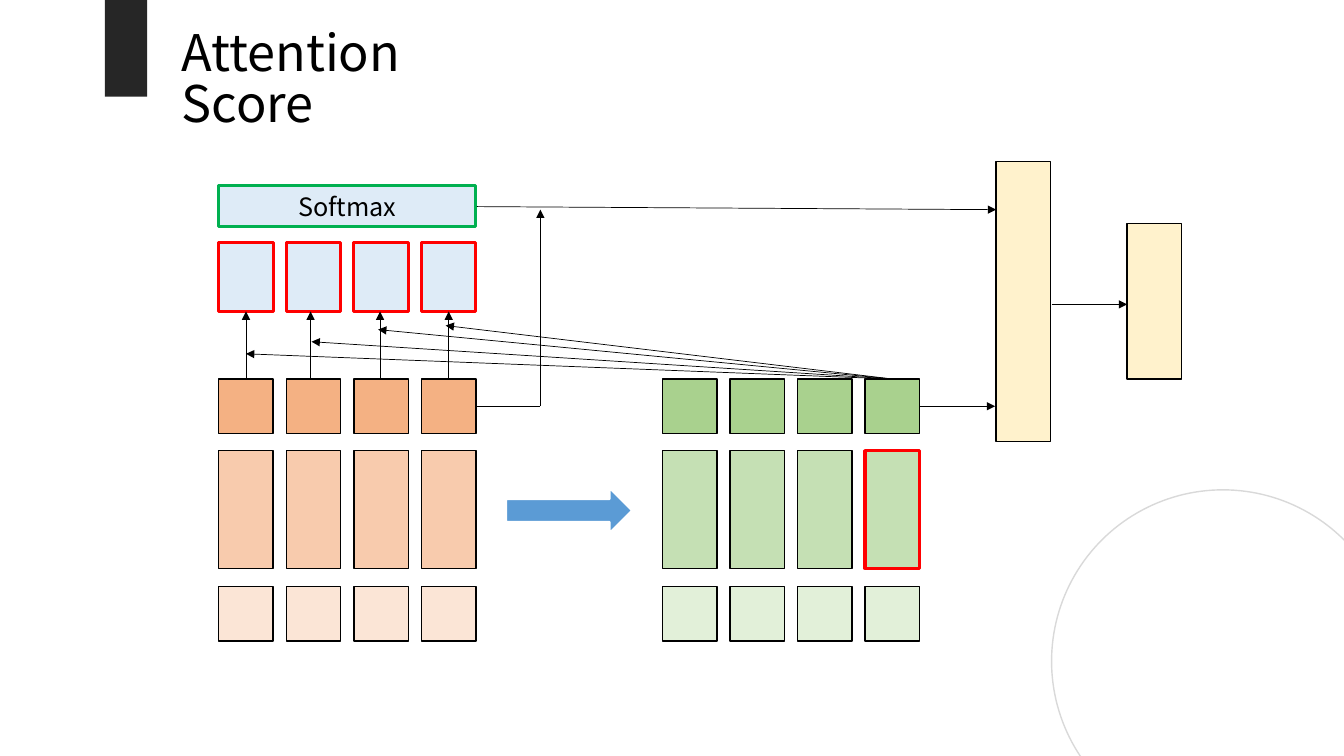
from pptx import Presentation
from pptx.dml.color import RGBColor
from pptx.enum.shapes import MSO_CONNECTOR as CONN, MSO_SHAPE as SHAPE
from pptx.enum.text import MSO_ANCHOR as ANCHOR, MSO_AUTO_SIZE as AUTO, PP_ALIGN as ALIGN
from pptx.oxml.ns import qn
from pptx.util import Inches, Pt
from lxml.etree import SubElement

FONT = "Noto Sans CJK JP"
COLORS = {
    "black": "000000", "white": "FFFFFF", "dark": "262626", "grey": "D9D9D9",
    "red": "FF0000", "green": "00B050", "arrow": "5B9BD5",
    "score": "DEEBF7", "output": "FFF2CC",
    "enc_top": "F4B183", "enc_mid": "F8CBAD", "enc_low": "FBE5D6",
    "dec_top": "A9D18E", "dec_mid": "C5E0B4", "dec_low": "E2F0D9",
}
CELL, PITCH, COLUMNS = 0.54, 0.67, 4
ENCODER_X, DECODER_X = 2.17, 6.57
# name suffix, top, height of each row of cells
ROWS = [("low", 5.82, CELL), ("mid", 4.47, 1.17), ("top", 3.76, CELL)]


def rgb(name):
    return RGBColor.from_string(COLORS[name])


def add_block(s, x, y, w, h, fill=None, line="black", width=1, kind=SHAPE.RECTANGLE):
    sp = s.shapes.add_shape(kind, Inches(x), Inches(y), Inches(w), Inches(h))
    sp.shadow.inherit = False
    if fill:
        sp.fill.solid()
        sp.fill.fore_color.rgb = rgb(fill)
    else:
        sp.fill.background()
    if line:
        sp.line.color.rgb = rgb(line)
        sp.line.width = Pt(width)
    else:
        sp.line.fill.background()
    return sp


def add_row(s, x, y, h, fill, line="black", width=1):
    return [add_block(s, x + i * PITCH, y, CELL, h, fill, line, width)
            for i in range(COLUMNS)]


def add_line(s, start, end, head=True):
    ends = [Inches(v) for v in (*start, *end)]
    c = s.shapes.add_connector(CONN.STRAIGHT, *ends)
    c.line.color.rgb = rgb("black")
    c.line.width = Pt(0.5)
    if head:
        SubElement(c.line._get_or_add_ln(), qn("a:tailEnd"), type="triangle")
    SubElement(c._element.spPr, qn("a:effectLst"))


def set_text(sp, text, size, align, anchor):
    tf = sp.text_frame
    tf.text = text
    tf.word_wrap = True
    tf.auto_size = AUTO.NONE
    tf.vertical_anchor = anchor
    p = tf.paragraphs[0]
    p.alignment = align
    p.font.name, p.font.size = FONT, Pt(size)
    p.font.color.rgb = rgb("black")
    return p


def add_title(s, text):
    title = s.shapes.title
    title.left, title.top = Inches(1.7), Inches(0.26)
    title.width, title.height = Inches(3.08), Inches(0.71)
    p = set_text(title, text, 36, ALIGN.LEFT, ANCHOR.TOP)
    p.line_spacing = 0.84


def main():
    prs = Presentation()
    prs.slide_width, prs.slide_height = Inches(13.33), Inches(7.5)
    s = prs.slides.add_slide(prs.slide_layouts[5])

    # Decoration and title
    add_block(s, 10.43, 4.86, 3.4, 3.4, line="grey", kind=SHAPE.OVAL)
    add_block(s, 1.04, 0, 0.42, 0.96, "dark", line=None)
    add_title(s, "Attention Score")

    # Encoder and decoder cells
    for row, y, h in ROWS:
        add_row(s, ENCODER_X, y, h, f"enc_{row}")
        decoder = add_row(s, DECODER_X, y, h, f"dec_{row}")
        if row == "mid":
            decoder[-1].line.color.rgb = rgb("red")
            decoder[-1].line.width = Pt(2.25)
    add_block(s, 5.02, 4.84, 1.25, 0.45, "arrow", "white", 1.5, SHAPE.RIGHT_ARROW)

    # Scores and softmax
    add_row(s, ENCODER_X, 2.41, 0.68, "score", "red", 2.25)
    softmax = add_block(s, ENCODER_X, 1.84, 2.55, 0.41, "score", "green", 2.25)
    set_text(softmax, "Softmax", 18, ALIGN.CENTER, ANCHOR.MIDDLE)

    # Output blocks
    add_block(s, 9.88, 1.6, CELL, 2.78, "output")
    add_block(s, 11.18, 2.22, CELL, 1.54, "output")

    # Flow to the output
    add_line(s, (4.73, 2.05), (9.88, 2.08))
    add_line(s, (9.12, 4.03), (9.87, 4.03))
    add_line(s, (10.43, 3.02), (11.18, 3.02))
    add_line(s, (4.73, 4.03), (5.36, 4.03), head=False)
    add_line(s, (5.36, 4.03), (5.36, 2.08))

    # Encoder states up to the scores, and the decoder state to each of them
    for x in (2.44, 3.08, 3.77, 4.45):
        add_line(s, (x, 3.76), (x, 3.09))
    for target in ((4.42, 3.23), (3.75, 3.27), (3.09, 3.39), (2.44, 3.51)):
        add_line(s, (8.85, 3.76), target)

    prs.save("out.pptx")


if __name__ == "__main__":
    main()
